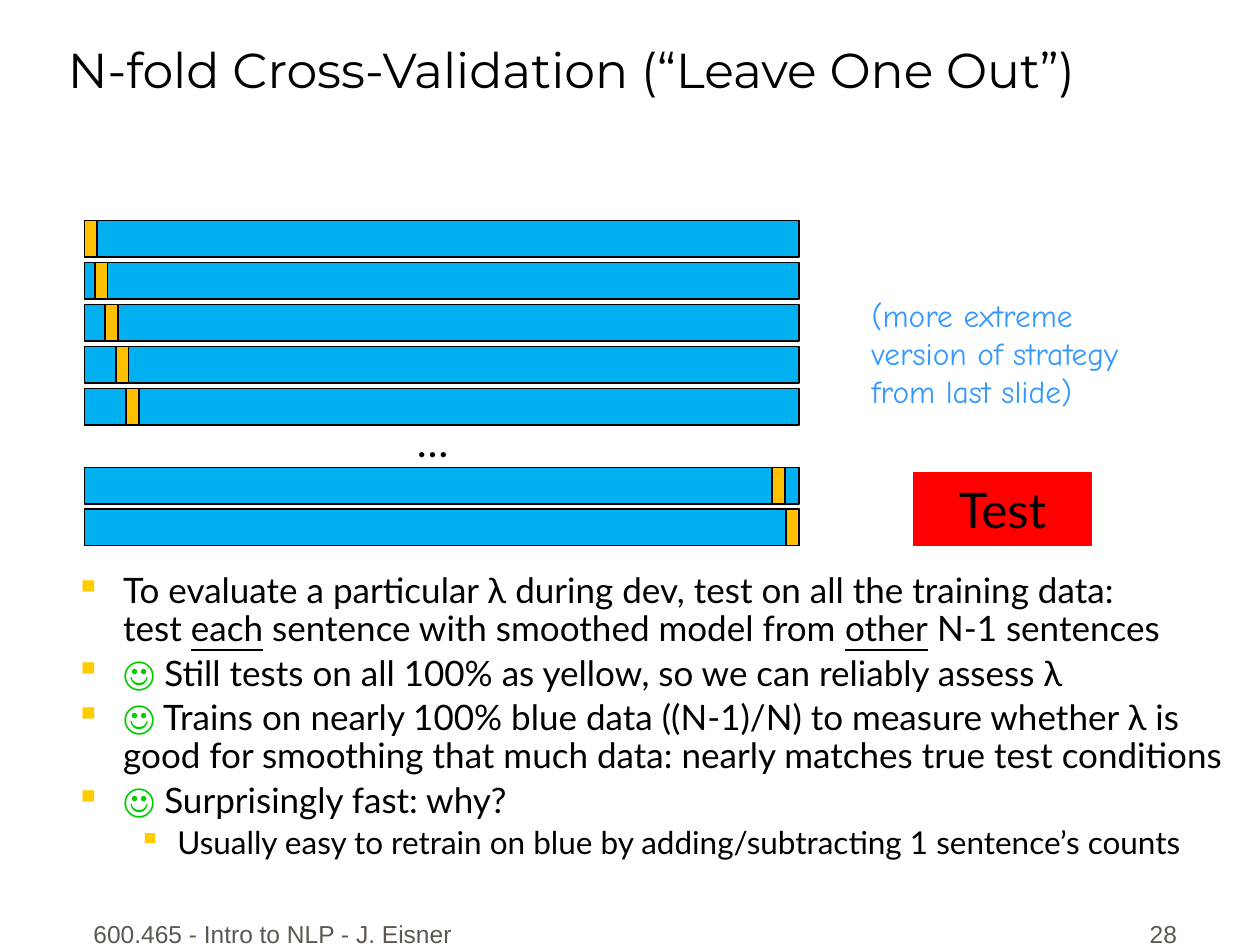
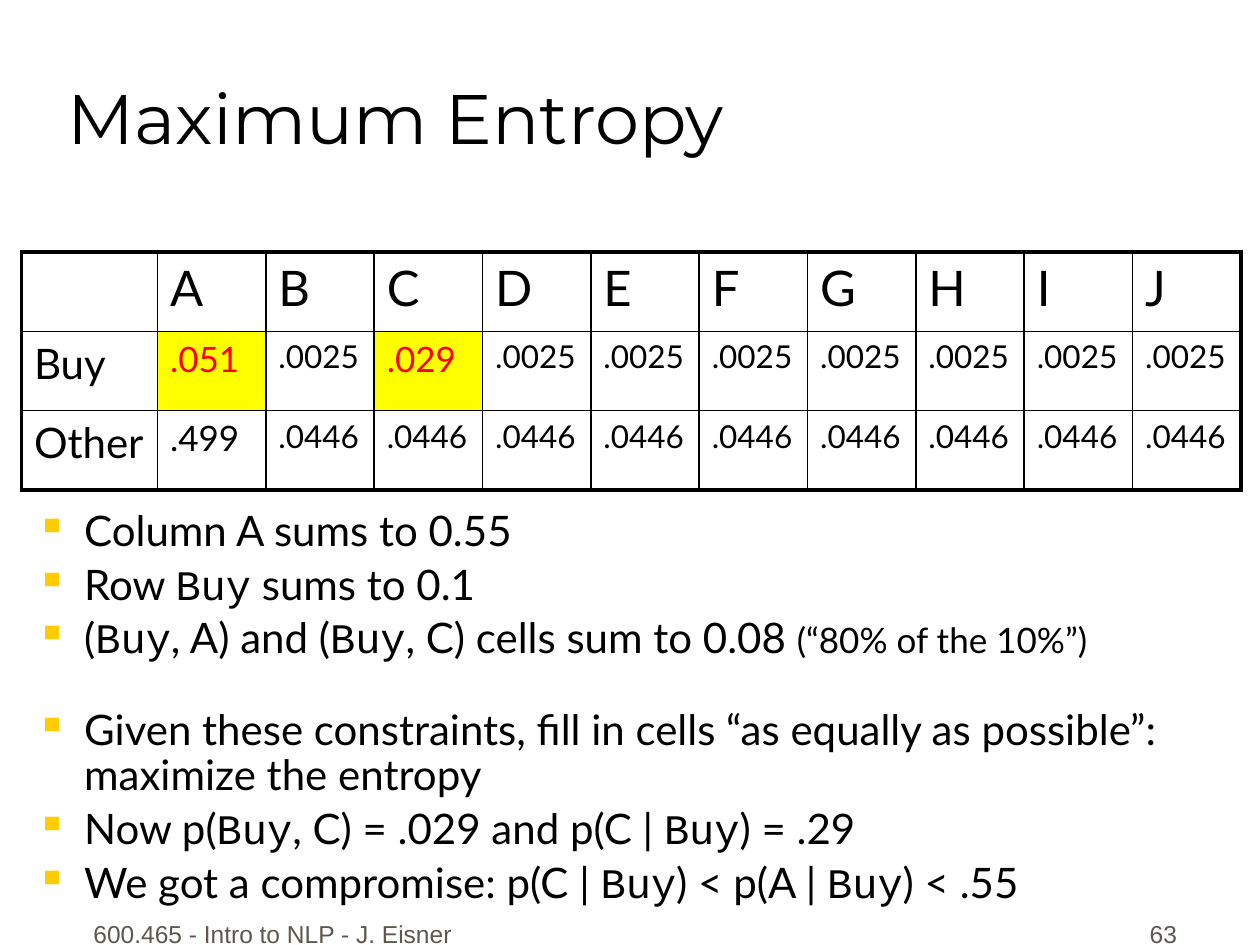
import lxml.etree
import pptx
import pptx.dml.color
import pptx.enum.shapes
import pptx.enum.text
import pptx.oxml.ns
import pptx.util

Inches = pptx.util.Inches
Pt = pptx.util.Pt
ALIGN = pptx.enum.text.PP_ALIGN
ANCHOR = pptx.enum.text.MSO_ANCHOR

COLORS = {
    "ink": "000000", "paper": "FFFFFF", "footer": "5E574E", "bullet": "FFCC00",
    "train": "00B0F0", "held_out": "FFC000", "test": "FF0000", "aside": "3399FF",
    "smile": "00CC00", "highlight": "FFFF00", "red": "FF0000",
}
FONTS = {"title": "Montserrat", "body": "Lato", "footer": "Arial",
         "aside": "Comic Neue", "code": "Courier New"}
RUN_STYLES = {
    "code": {"name": FONTS["code"]},
    "stress": {"underline": True},
    "smile": {"bold": True, "color": "smile"},
    "small": {"size": 20},
}
BUY = ("Buy", "code")
SMILE = ("☺", "smile")
THIN, THICK = 1, 2.25


def rgb(color):
    return pptx.dml.color.RGBColor.from_string(COLORS[color])


def add_xml(parent, tag, **attributes):
    return lxml.etree.SubElement(parent, pptx.oxml.ns.qn(tag), attributes)


def format_font(font, values):
    for name, value in values.items():
        if name == "color":
            font.color.rgb = rgb(value)
        else:
            setattr(font, name, Pt(value) if name == "size" else value)


class Deck:
    """Holds the presentation, its shared style and the slide being built."""

    def __init__(self):
        self.presentation = pptx.Presentation()
        self.presentation.slide_width = Inches(10)
        self.presentation.slide_height = Inches(7.5)
        self.slide = None

    def new_slide(self, title, title_box, title_size, number):
        layout = self.presentation.slide_layouts[6]
        self.slide = self.presentation.slides.add_slide(layout)
        footer = {"font": FONTS["footer"], "size": 14, "color": "footer",
                  "anchor": ANCHOR.BOTTOM}
        self.text("600.465 - Intro to NLP - J. Eisner", (0.58, 7.08, 3.17, 0.5),
                  align=ALIGN.CENTER, **footer)
        self.text(str(number), (7.36, 7.08, 2.08, 0.5), align=ALIGN.RIGHT, **footer)
        self.text(title, title_box, font=FONTS["title"], size=title_size,
                  anchor=ANCHOR.BOTTOM)

    def frame(self, box, anchor=ANCHOR.TOP, wrap=True):
        frame = self.slide.shapes.add_textbox(*map(Inches, box)).text_frame
        for name, value in {"word_wrap": wrap, "vertical_anchor": anchor}.items():
            setattr(frame, name, value)
        return frame

    def add_runs(self, paragraph, runs, font=FONTS["body"], size=20, color="ink"):
        """Fills a paragraph from strings and (string, run style) pairs."""
        for run in runs:
            words, style = (run, None) if isinstance(run, str) else run
            values = {"name": font, "size": size, "color": color}
            values.update(RUN_STYLES.get(style, {}))
            for index, line in enumerate(words.split("\n")):
                if index:
                    paragraph.add_line_break()
                piece = paragraph.add_run()
                piece.text = line
                format_font(piece.font, values)

    def text(self, words, box, align=ALIGN.LEFT, anchor=ANCHOR.TOP, wrap=True, **style):
        paragraph = self.frame(box, anchor, wrap).paragraphs[0]
        paragraph.alignment = align
        self.add_runs(paragraph, [words], **style)

    def bullets(self, items, box, size):
        """Adds bulleted paragraphs; each item is (level, runs)."""
        frame = self.frame(box)
        for index, (level, runs) in enumerate(items):
            paragraph = frame.add_paragraph() if index else frame.paragraphs[0]
            item_size = size - 2 * level
            for name, value in {"level": level, "line_spacing": 0.9,
                                "space_before": Pt(0.2 * item_size)}.items():
                setattr(paragraph, name, value)
            margin, hang = [(0.38, 0.38), (0.81, 0.31)][level]
            properties = paragraph._p.get_or_add_pPr()
            properties.set("marL", str(Inches(margin)))
            properties.set("indent", str(-Inches(hang)))
            add_xml(add_xml(properties, "a:buClr"), "a:srgbClr", val=COLORS["bullet"])
            add_xml(properties, "a:buChar", char="▪")
            self.add_runs(paragraph, runs, size=item_size)

    def block(self, box, fill, line="ink", label=None, **style):
        shape = self.slide.shapes.add_shape(
            pptx.enum.shapes.MSO_SHAPE.RECTANGLE, *map(Inches, box))
        shape.shadow.inherit = False
        shape.fill.solid()
        shape.fill.fore_color.rgb = rgb(fill)
        shape.line.color.rgb = rgb(line)
        shape.line.width = Pt(1)
        if label:
            shape.text_frame.vertical_anchor = ANCHOR.MIDDLE
            paragraph = shape.text_frame.paragraphs[0]
            paragraph.alignment = ALIGN.CENTER
            self.add_runs(paragraph, [label], **style)

    def cell(self, cell, words, borders, fill="paper", size=18, color="ink"):
        properties = cell._tc.get_or_add_tcPr()
        for side, width in borders.items():
            line = add_xml(properties, "a:ln" + side, w=str(Pt(width)))
            add_xml(add_xml(line, "a:solidFill"), "a:srgbClr", val=COLORS["ink"])
        cell.fill.solid()
        cell.fill.fore_color.rgb = rgb(fill)
        if words:
            paragraph = cell.text_frame.paragraphs[0]
            paragraph.space_before = Pt(0.2 * size)
            self.add_runs(paragraph, [words], size=size, color=color)

    def table(self, rows, left, top, widths, height, cell_style):
        """Adds a grid with a thick frame; cell_style(row, column) gives the look."""
        table = self.slide.shapes.add_table(
            len(rows), len(widths), Inches(left), Inches(top),
            Inches(sum(widths)), Inches(height * len(rows))).table
        table.first_row = table.horz_banding = False
        for column, width in zip(table.columns, widths):
            column.width = Inches(width)
        for r, row in enumerate(rows):
            table.rows[r].height = Inches(height)
            for c, words in enumerate(row):
                on_frame = {"L": c == 0, "R": c == len(row) - 1,
                            "T": r == 0, "B": r == len(rows) - 1}
                borders = {side: THICK if edge else THIN
                           for side, edge in on_frame.items()}
                self.cell(table.cell(r, c), words, borders, **cell_style(r, c))


def cross_validation(deck):
    deck.new_slide("N-fold Cross-Validation (“Leave One Out”)",
                   (0.44, 0.06, 9.39, 0.77), 28, 28)
    left, width, height, sentence = 0.67, 5.67, 0.29, 0.1
    last = left + width - sentence
    folds = [(1.75 + i / 3, left + i / 12) for i in range(5)]
    folds += [(3.71, last - 0.11), (4.04, last)]
    for top, held_out in folds:
        deck.block((left, top, width, height), "train")
        deck.block((held_out, top, sentence, height), "held_out")
    deck.text("…", (3.21, 3.25, 0.47, 0.5), size=24, wrap=False)
    deck.text("(more extreme\nversion of strategy\nfrom last slide)",
              (6.82, 2.3, 2.45, 1), font=FONTS["aside"], size=18,
              color="aside", wrap=False)
    deck.block((7.25, 3.75, 1.41, 0.58), "test", line="test", label="Test", size=28)
    deck.bullets([
        (0, ["To evaluate a particular λ during dev, test on all the training data:\ntest ",
             ("each", "stress"), " sentence with smoothed model from ",
             ("other", "stress"), " N-1 sentences"]),
        (0, [SMILE, " Still tests on all 100% as yellow, so we can reliably assess λ"]),
        (0, [SMILE, " Trains on nearly 100% blue data ((N-1)/N) to measure whether λ is "
             "good for smoothing that much data: nearly matches true test conditions"]),
        (0, [SMILE, " Surprisingly fast: why?"]),
        (1, ["Usually easy to retrain on blue by adding/subtracting 1 sentence’s counts"]),
    ], (0.5, 4.5, 9.5, 2.92), 20)


def probability_style(row, column):
    if row == 0:
        return {"size": 28}
    if column == 0:
        return {"size": 24}
    if row == 1 and column in (1, 3):
        return {"size": 20, "color": "red", "fill": "highlight"}
    return {"size": 20 if column == 1 else 18}


def maximum_entropy(deck):
    deck.new_slide("Maximum Entropy", (0.44, 0.06, 8.5, 1.25), 40, 63)
    probabilities = [
        ["", *"ABCDEFGHIJ"],
        ["Buy", ".051", ".0025", ".029"] + [".0025"] * 7,
        ["Other", ".499"] + [".0446"] * 9,
    ]
    deck.table(probabilities, 0.17, 2, [1.08] + [0.86] * 10, 0.63, probability_style)
    deck.bullets([
        (0, ["Column A sums to 0.55"]),
        (0, ["Row ", BUY, " sums to 0.1"]),
        (0, ["(", BUY, ", A) and (", BUY, ", C) cells sum to 0.08 ",
             ("(“80% of the 10%”)", "small")]),
    ], (0.19, 4, 9.56, 1.42), 24)
    deck.bullets([
        (0, ["Given these constraints, fill in cells “as equally as possible”: "
             "maximize the entropy"]),
        (0, ["Now p(", BUY, ", C) = .029 and p(C | ", BUY, ") = .29"]),
        (0, ["We got a compromise: p(C | ", BUY, ") < p(A | ", BUY, ") < .55"]),
    ], (0.19, 5.58, 9.56, 1.58), 24)


def main():
    deck = Deck()
    cross_validation(deck)
    maximum_entropy(deck)
    deck.presentation.save("out.pptx")


if __name__ == "__main__":
    main()
